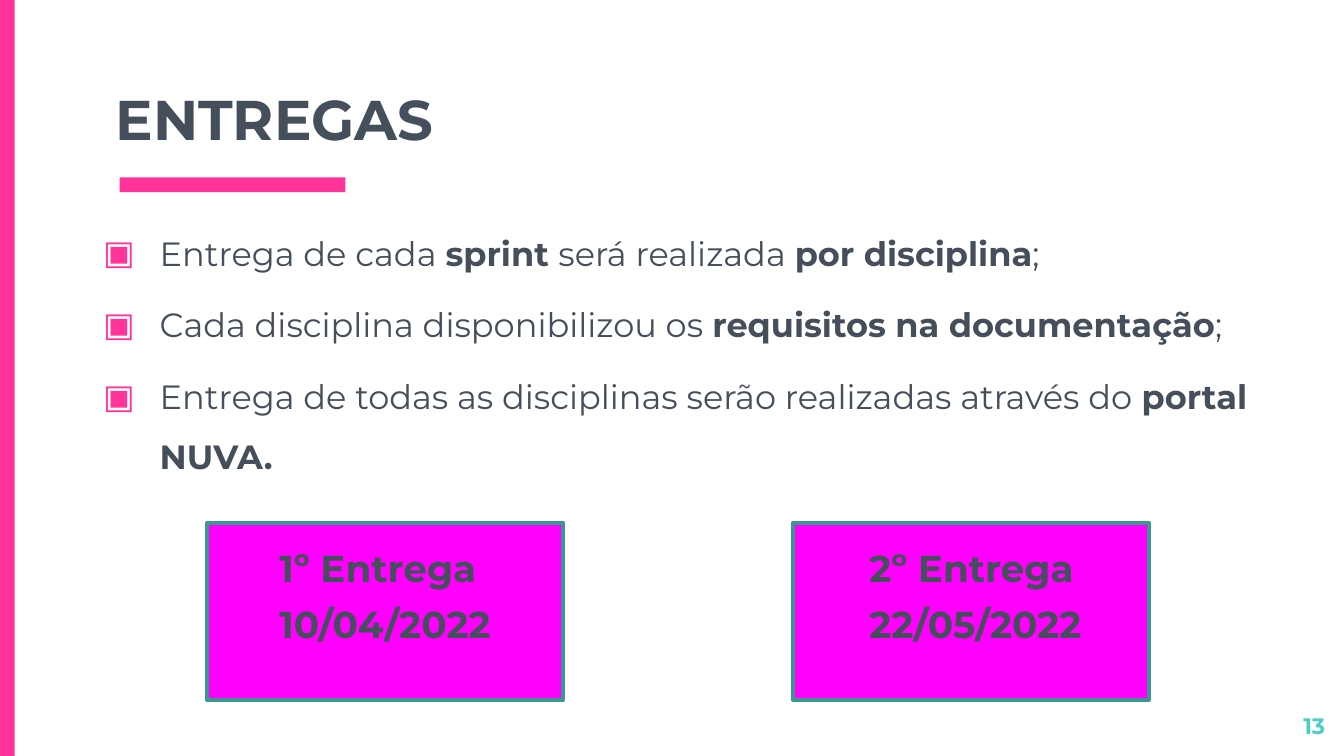
from lxml import etree
from pptx import Presentation
from pptx.dml.color import RGBColor
from pptx.enum import shapes, text
from pptx.oxml import ns
from pptx.util import Inches, Pt

COLORS = {
    "pink": "FF3399",
    "magenta": "FF00FF",
    "teal": "3A9891",
    "ink": "454F5B",
    "mint": "4ECDC4",
}
FONT = "Montserrat"
BULLETS = [
    [("Entrega de cada ", False), ("sprint ", True), ("será realizada ", False),
     ("por disciplina", True), (";", False)],
    [("Cada disciplina disponibilizou os ", False),
     ("requisitos na documentação", True), (";", False)],
    [("Entrega de todas as disciplinas serão realizadas através do ", False),
     ("portal NUVA.", True)],
]
DELIVERIES = [
    (1.54, 1.98, ["1º Entrega", "10/04/2022"]),
    (5.9, 6.37, ["2º Entrega", "22/05/2022"]),
]


def color(name):
    return RGBColor.from_string(COLORS[name])


def apply_format(target, values):
    for name, value in values.items():
        setattr(target, name, value)


def add_rectangle(slide, box, fill, line=None):
    shape = slide.shapes.add_shape(
        shapes.MSO_SHAPE.RECTANGLE, *map(Inches, box))
    shape.shadow.inherit = False
    shape.fill.solid()
    shape.fill.fore_color.rgb = color(fill)
    if line:
        shape.line.color.rgb = color(line)
        shape.line.width = Pt(2)
    else:
        shape.line.fill.background()


def add_run(paragraph, words, size, bold=True, ink="ink"):
    run = paragraph.add_run()
    run.text = words
    apply_format(run.font, {"name": FONT, "size": Pt(size), "bold": bold})
    run.font.color.rgb = color(ink)


def prepare_frame(shape, anchor=text.MSO_ANCHOR.TOP):
    frame = shape.text_frame
    margin = Inches(0.1)
    apply_format(frame, {
        "word_wrap": True,
        "auto_size": text.MSO_AUTO_SIZE.NONE,
        "vertical_anchor": anchor,
        "margin_left": margin,
        "margin_right": margin,
        "margin_top": margin,
        "margin_bottom": margin,
    })
    return frame


def set_title(slide, words):
    title = slide.shapes.title
    apply_format(title, {
        "left": Inches(0.76), "top": Inches(0.69),
        "width": Inches(8.49), "height": Inches(0.54),
    })
    paragraph = prepare_frame(title, text.MSO_ANCHOR.BOTTOM).paragraphs[0]
    paragraph.alignment = text.PP_ALIGN.LEFT
    add_run(paragraph, words, 30)


def add_text(slide, box, lines, size, ink="ink", **values):
    frame = prepare_frame(slide.shapes.add_textbox(*map(Inches, box)))
    for index, runs in enumerate(lines):
        paragraph = frame.add_paragraph() if index else frame.paragraphs[0]
        apply_format(paragraph, values)
        for words, bold in runs:
            add_run(paragraph, words, size, bold, ink)
    return frame


def add_bullet(paragraph):
    properties = paragraph._p.get_or_add_pPr()
    properties.set("marL", str(Inches(0.5)))
    properties.set("indent", str(Inches(-0.42)))
    bullet_color = etree.SubElement(properties, ns.qn("a:buClr"))
    etree.SubElement(bullet_color, ns.qn("a:srgbClr"), val=COLORS["pink"])
    etree.SubElement(properties, ns.qn("a:buFont"), typeface=FONT)
    etree.SubElement(properties, ns.qn("a:buChar"), char="▣")


def main():
    presentation = Presentation()
    presentation.slide_width = Inches(10)
    presentation.slide_height = presentation.slide_width * 9 // 16
    slide = presentation.slides.add_slide(presentation.slide_layouts[5])

    page_height = presentation.slide_height.inches
    add_rectangle(slide, (0, 0, 0.11, page_height), "pink")
    add_rectangle(slide, (0.89, 1.32, 1.68, 0.11), "pink")
    set_title(slide, "ENTREGAS")

    for card_left, text_left, lines in DELIVERIES:
        add_rectangle(slide, (card_left, 3.89, 2.65, 1.32), "magenta", "teal")
        add_text(slide, (text_left, 3.96, 4.12, 1.4),
                 [[(line, True)] for line in lines], 20, space_before=Pt(6))

    frame = add_text(slide, (0.59, 1.48, 9.24, 1.66), BULLETS, 18,
                     space_before=Pt(6), line_spacing=1.5)
    for paragraph in frame.paragraphs:
        add_bullet(paragraph)

    add_text(slide, (9.36, 5.2, 0.6, 0.34), [[("13", True)]], 12, "mint",
             alignment=text.PP_ALIGN.RIGHT)
    presentation.save("out.pptx")


if __name__ == "__main__":
    main()
